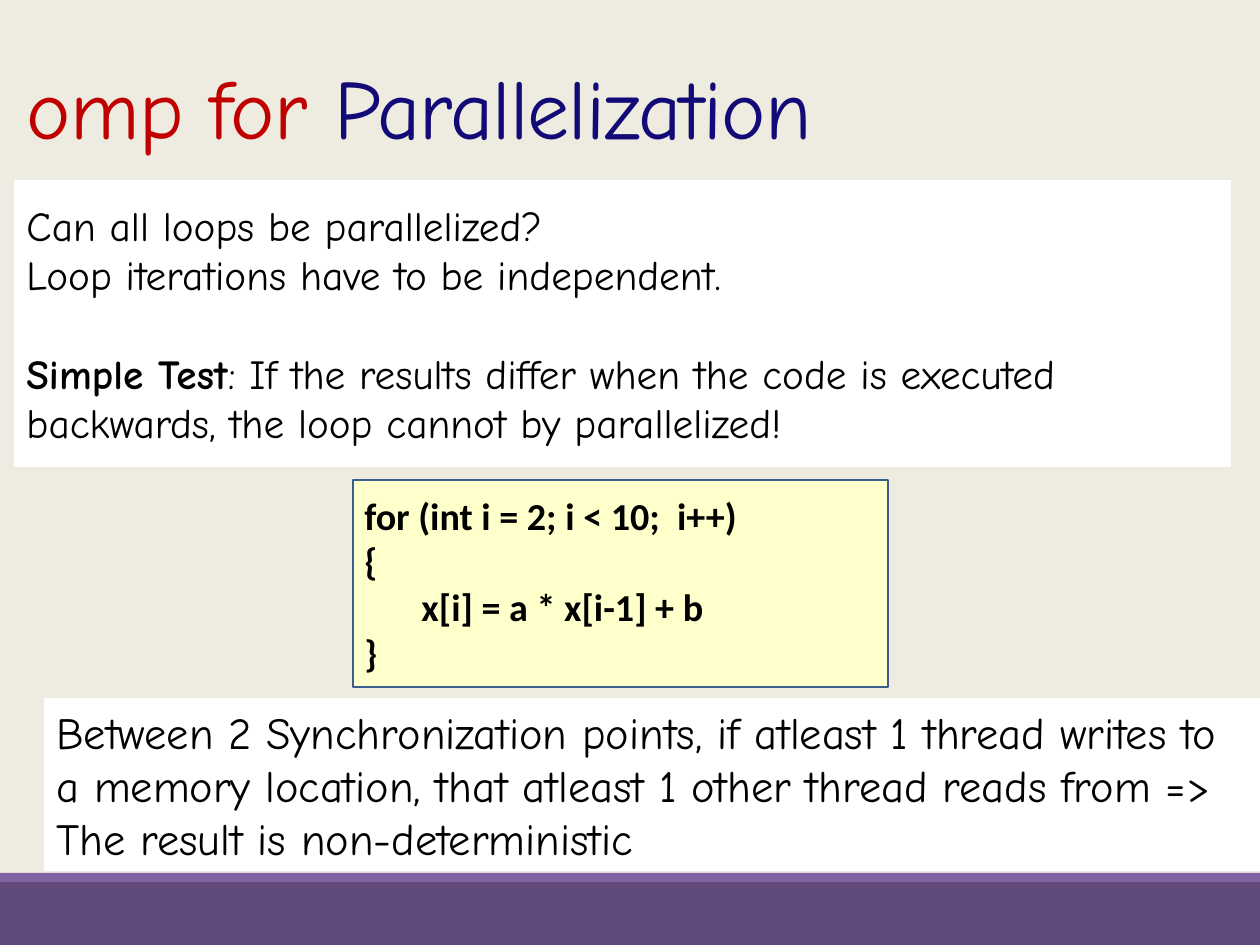
"""Build the slide on which loops can be made parallel with omp for."""
from pptx import Presentation
from pptx.dml.color import RGBColor
from pptx.enum.shapes import MSO_SHAPE
from pptx.enum.text import MSO_ANCHOR, MSO_AUTO_SIZE, PP_ALIGN
from pptx.util import Pt

THEME = {
    "paper": "EEECE1", "white": "FFFFFF", "black": "000000",
    "red": "C00000", "navy": "120A76", "cream": "FFFFCC", "edge": "3A5F8C",
    "base": "604A7B", "strip": "8064A2",
    "hand": "Comic Neue", "sans": "Calibri",
    "head": 52.9, "code": 24, "body": 26, "note": 28,
}
WIDE, HIGH = 793.75, 595.25


def tint(name):
    return RGBColor.from_string(THEME[name])


def write(par, text, size="body", color="black", font="hand", bold=False, track=0):
    """Add one run of text with its format to a paragraph."""
    run = par.add_run()
    run.text = text
    run.font.size = Pt(THEME[size])
    run.font.name = THEME[font]
    run.font.bold = bold
    run.font.color.rgb = tint(color)
    if track:
        run._r.get_or_add_rPr().set("spc", str(track))


deck = Presentation()
deck.slide_width, deck.slide_height = Pt(WIDE), Pt(HIGH)
slide = deck.slides.add_slide(deck.slide_layouts[5])
slide.background.fill.solid()
slide.background.fill.fore_color.rgb = tint("paper")

title = slide.shapes.title
title.left, title.top, title.width, title.height = Pt(9.8), Pt(17.5), Pt(716.4), Pt(85)
frame = title.text_frame
frame.auto_size = MSO_AUTO_SIZE.NONE
frame.vertical_anchor = MSO_ANCHOR.BOTTOM
head = frame.paragraphs[0]
head.alignment = PP_ALIGN.LEFT
head.line_spacing = 0.85
write(head, "omp for", size="head", color="red", track=-60)
write(head, " Parallelization", size="head", color="navy", track=-60)

code = dict(size="code", font="sans", bold=True)
note = dict(size="note")
panels = [
    ((0, 555.5, WIDE, HIGH - 555.5), "base", None, []),
    ((0, 549.9, WIDE, 5.6), "strip", None, []),
    ((222.4, 302.4, 337, 130.3), "cream", "edge", [
        [("for (int i = 2; i < 10;  i++)", code)],
        [("{", code)],
        [("x[i] = a * x[i-1] + b", code)],
        [("}", code)],
    ]),
    ((9.6, 113.8, 765.4, 180), "white", "white", [
        [("Can all loops be parallelized?", {})],
        [("Loop iterations have to be independent.", {})],
        [("Simple Test", dict(bold=True)),
         (": If the results differ when the code is executed backwards, "
          "the loop cannot by parallelized!", {})],
    ]),
    ((28.5, 440.3, 765.25, 108), "white", "white", [
        [("Between 2 Synchronization points, if atleast 1 thread writes to a memory "
          "location, that atleast 1 other thread reads from => "
          "The result is non-deterministic", note)],
    ]),
]

for place, fill, edge, lines in panels:
    panel = slide.shapes.add_shape(MSO_SHAPE.RECTANGLE, *map(Pt, place))
    panel.shadow.inherit = False
    panel.fill.solid()
    panel.fill.fore_color.rgb = tint(fill)
    if edge:
        panel.line.color.rgb = tint(edge)
        panel.line.width = Pt(1.25)
    else:
        panel.line.fill.background()
    frame = panel.text_frame
    frame.word_wrap = True
    frame.vertical_anchor = MSO_ANCHOR.MIDDLE
    for row, runs in enumerate(lines):
        par = frame.paragraphs[0] if row == 0 else frame.add_paragraph()
        par.alignment = PP_ALIGN.LEFT
        if runs[0][0].startswith("x[i]"):
            par._p.get_or_add_pPr().set("marL", str(Pt(36)))
        if runs[0][0] == "Simple Test":
            par.space_before = Pt(31)
        for text, form in runs:
            write(par, text, **form)

deck.save("out.pptx")
